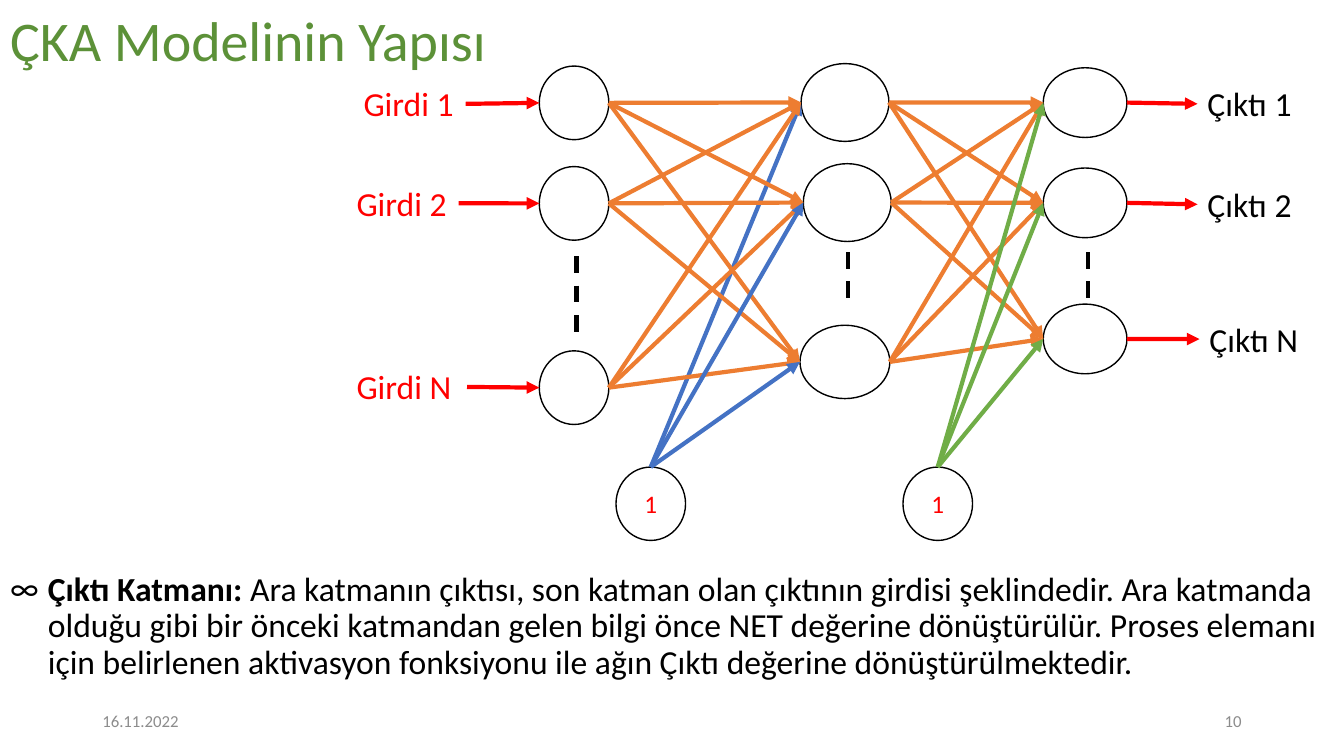
from itertools import product
from typing import NamedTuple

from lxml import etree
from pptx import Presentation
from pptx.dml.color import RGBColor
from pptx.enum import dml, shapes, text
from pptx.oxml import ns
from pptx.util import Pt

FONT = "Calibri"
RED = RGBColor(0xFF, 0x00, 0x00)
BLACK = RGBColor(0x00, 0x00, 0x00)
GRAY = RGBColor(0x8C, 0x8C, 0x8C)
TITLE = RGBColor(0x5C, 0x91, 0x38)
ORANGE = RGBColor(0xED, 0x7D, 0x31)
BLUE = RGBColor(0x44, 0x72, 0xC4)
GREEN = RGBColor(0x70, 0xAD, 0x47)


class Spot(NamedTuple):
    x: float
    y: float


class Box(NamedTuple):
    x: float
    y: float
    w: float
    h: float

    @property
    def left(self) -> Spot:
        return Spot(self.x, self.y + self.h / 2)

    @property
    def right(self) -> Spot:
        return Spot(self.x + self.w, self.y + self.h / 2)

    @property
    def top(self) -> Spot:
        return Spot(self.x + self.w / 2, self.y)


class Label(NamedTuple):
    words: str
    box: Box


INPUTS = [Box(385.2, y, 49.7, 52.6) for y in (47.2, 119, 250.6)]
HIDDEN = [Box(572.2, 45.4, 62.8, 55.6), Box(573.8, 116.9, 62.8, 55.6),
          Box(571.4, 232.3, 64.2, 52.4)]
OUTPUTS = [Box(745.2, y, 59.8, 49.8) for y in (48.4, 120, 217.2)]
BIASES = [Box(x, 333.6, 49.7, 52.4) for x in (440, 645)]

IN_TAGS = [Label("Girdi 1", Box(252.6, 59.2, 80, 30)),
           Label("Girdi 2", Box(247.6, 130.2, 80, 30)),
           Label("Girdi N", Box(247.6, 261.4, 86, 30))]
OUT_TAGS = [Label("Çıktı 1", Box(855.4, 59.2, 80, 30)),
            Label("Çıktı 2", Box(855.4, 131, 80, 30)),
            Label("Çıktı N", Box(856.8, 227.2, 80, 30))]
GAPS = [(Spot(411.8, 183), 62.6), (Spot(605.5, 180), 37.4),
        (Spot(776.9, 180), 37.4)]

BOLD = "Çıktı Katmanı: "
PLAIN = ("Ara katmanın çıktısı, son katman olan çıktının girdisi şeklindedir. "
         "Ara katmanda olduğu gibi bir önceki katmandan gelen bilgi önce NET "
         "değerine dönüştürülür. Proses elemanı için belirlenen aktivasyon "
         "fonksiyonu ile ağın Çıktı değerine dönüştürülmektedir.")

deck = Presentation()
deck.slide_width, deck.slide_height = Pt(960), Pt(540)
slide = deck.slides.add_slide(deck.slide_layouts[1])


def place(shape, box: Box) -> None:
    shape.left, shape.top, shape.width, shape.height = map(Pt, box)


def style(para, size: float, color: RGBColor, align=text.PP_ALIGN.LEFT,
          lead: float = 1) -> None:
    para.alignment, para.line_spacing = align, lead
    para.space_before = Pt(0)
    for run in para.runs:
        run.font.name, run.font.size = FONT, Pt(size)
        run.font.color.rgb = color


def write(words: str, box: Box, size: float, color: RGBColor,
          align=text.PP_ALIGN.LEFT, lead: float = 1,
          anchor=text.MSO_ANCHOR.TOP) -> None:
    frame = slide.shapes.add_textbox(*map(Pt, box)).text_frame
    frame.word_wrap, frame.vertical_anchor = True, anchor
    frame.text = words
    style(frame.paragraphs[0], size, color, align, lead)


def node(box: Box, words: str = "") -> None:
    oval = slide.shapes.add_shape(shapes.MSO_SHAPE.OVAL, *map(Pt, box))
    oval.shadow.inherit = False
    oval.fill.background()
    oval.line.color.rgb, oval.line.width = BLACK, Pt(1)
    if words:
        frame = oval.text_frame
        frame.text, frame.vertical_anchor = words, text.MSO_ANCHOR.MIDDLE
        style(frame.paragraphs[0], 18, RED, text.PP_ALIGN.CENTER)


def line(start: Spot, end: Spot, color: RGBColor):
    link = slide.shapes.add_connector(
        shapes.MSO_CONNECTOR.STRAIGHT, *map(Pt, (*start, *end)))
    link.line.color.rgb, link.line.width = color, Pt(3)
    etree.SubElement(link._element.spPr, ns.qn("a:effectLst"))
    return link


def arrow(start: Spot, end: Spot, color: RGBColor) -> None:
    link = line(start, end, color)
    etree.SubElement(link.line._get_or_add_ln(), ns.qn("a:tailEnd"),
                     type="triangle")


def mesh(starts: list[Spot], goals: list[Box], color: RGBColor) -> None:
    """Join every start to the left side of every goal."""
    for start, goal in product(starts, goals):
        arrow(start, goal.left, color)


def head() -> None:
    title = slide.shapes.title
    place(title, Box(0, 0, 646, 56))
    frame = title.text_frame
    frame.text = "ÇKA Modelinin Yapısı"
    frame.auto_size = text.MSO_AUTO_SIZE.NONE
    frame.vertical_anchor = text.MSO_ANCHOR.BOTTOM
    style(frame.paragraphs[0], 40, TITLE, lead=0.9)


def body() -> None:
    holder = slide.placeholders[1]
    place(holder, Box(0, 405.4, 960, 82.8))
    frame = holder.text_frame
    frame.auto_size = text.MSO_AUTO_SIZE.NONE
    para = frame.paragraphs[0]
    props = para._p.get_or_add_pPr()
    props.set("marL", str(Pt(27)))
    props.set("indent", str(Pt(-27)))
    etree.SubElement(props, ns.qn("a:buFont"), typeface=FONT)
    etree.SubElement(props, ns.qn("a:buChar"), char="∞")
    for words, bold in ((BOLD, True), (PLAIN, False)):
        run = para.add_run()
        run.text, run.font.bold = words, bold
    style(para, 24, BLACK, lead=0.9)


def network() -> None:
    for box in INPUTS + HIDDEN + OUTPUTS:
        node(box)
    for box in BIASES:
        node(box, "1")
    for tag, box in zip(IN_TAGS, INPUTS):
        write(*tag, 24, RED, lead=0.9)
        arrow(tag.box.right, box.left, RED)
    for tag, box in zip(OUT_TAGS, OUTPUTS):
        write(*tag, 24, BLACK, lead=0.9)
        arrow(box.right, tag.box.left, RED)
    first, second = ([box.top] for box in BIASES)
    mesh(first, HIDDEN[:1], BLUE)
    mesh([box.right for box in INPUTS], HIDDEN, ORANGE)
    mesh([box.right for box in HIDDEN], OUTPUTS, ORANGE)
    for start, size in GAPS:
        dash = line(start, Spot(start.x, start.y + size), BLACK)
        dash.line.dash_style = dml.MSO_LINE.DASH
    mesh(first, HIDDEN[1:], BLUE)
    mesh(second, OUTPUTS, GREEN)


def foot() -> None:
    for words, x, align in (("16.11.2022", 66, text.PP_ALIGN.LEFT),
                            ("10", 678, text.PP_ALIGN.RIGHT)):
        write(words, Box(x, 500.5, 216, 28.8), 12, GRAY, align,
              anchor=text.MSO_ANCHOR.MIDDLE)


if __name__ == "__main__":
    head()
    network()
    body()
    foot()
    deck.save("out.pptx")
